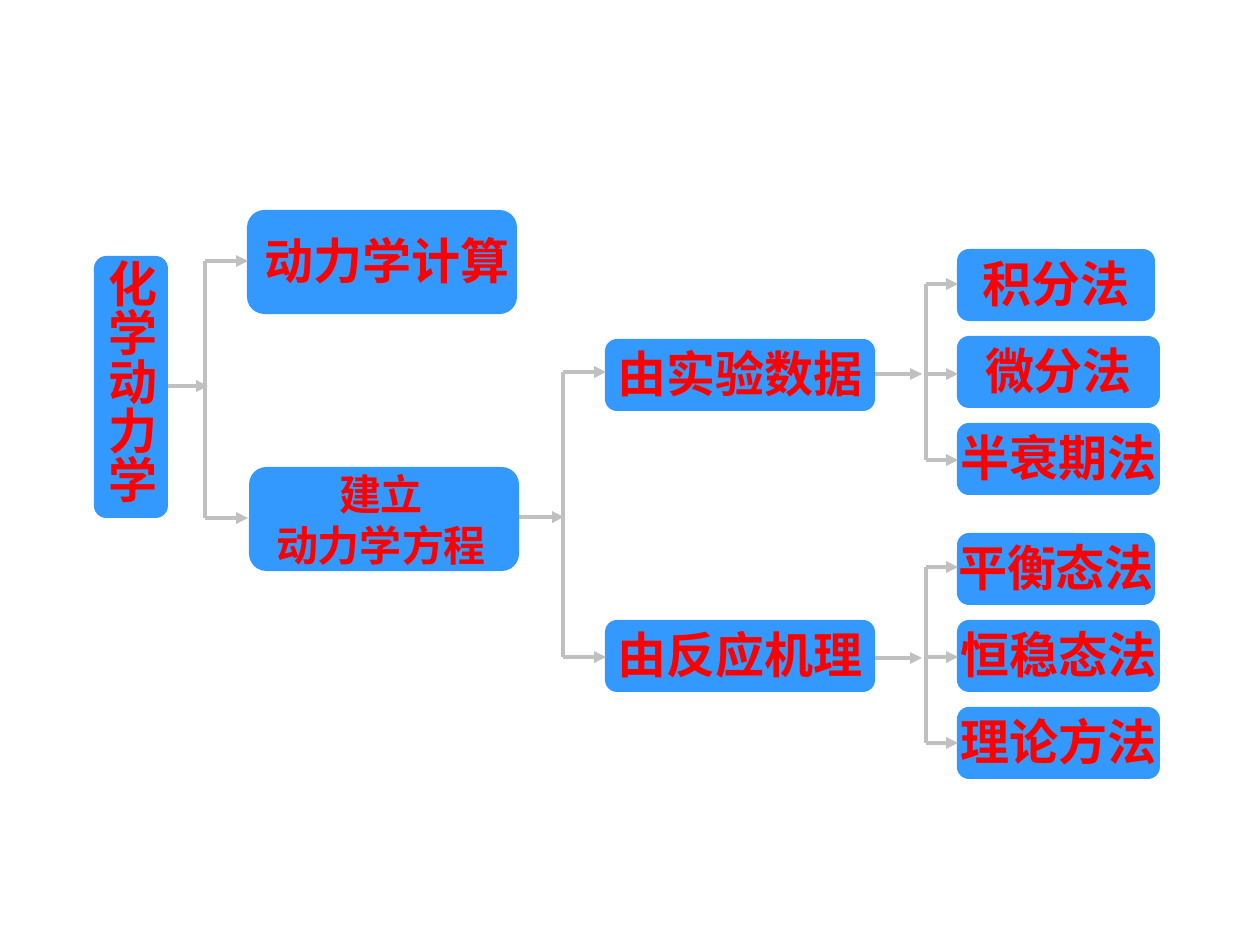
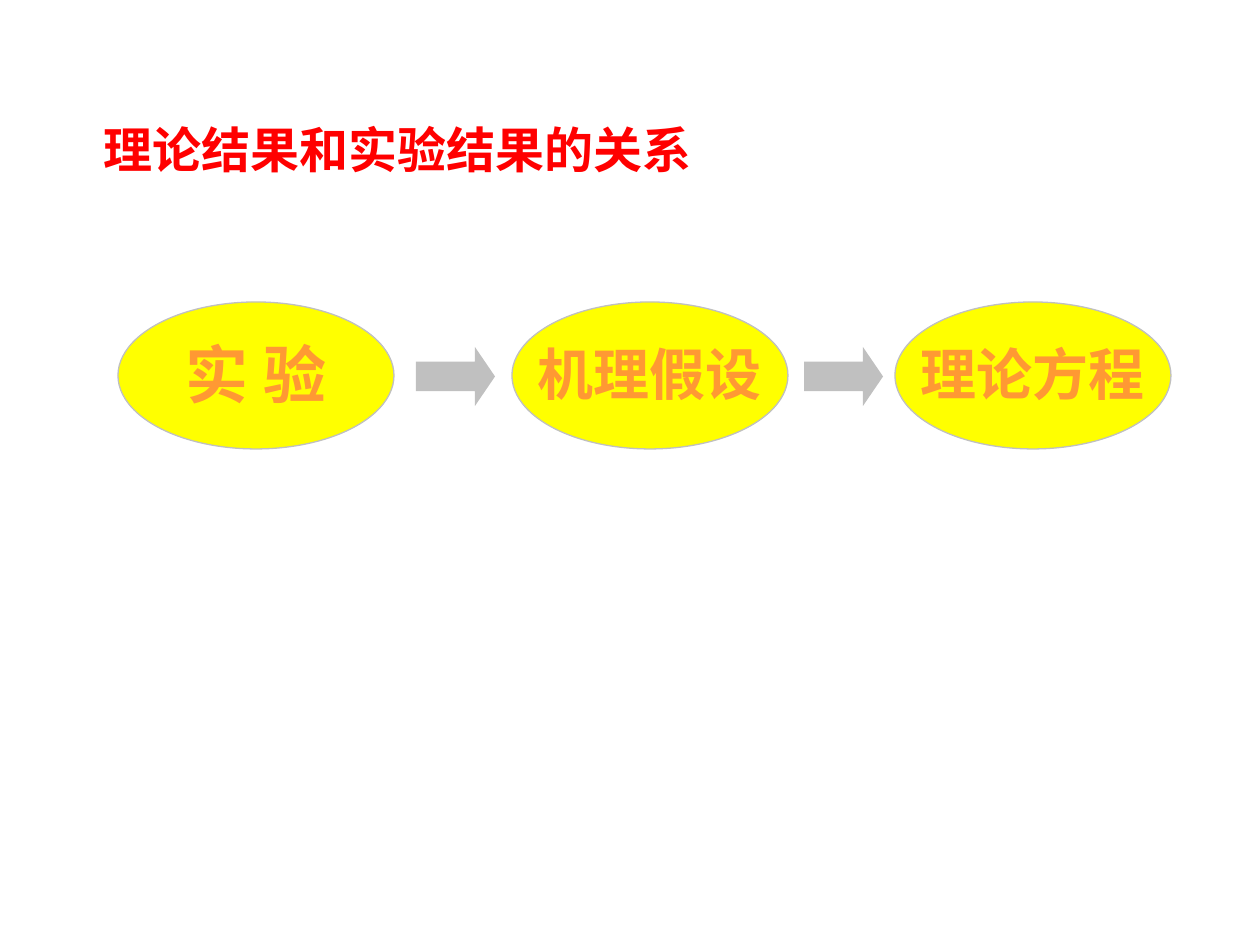
from pptx import Presentation
from pptx.dml.color import RGBColor
from pptx.enum.shapes import MSO_CONNECTOR, MSO_SHAPE
from pptx.enum.text import MSO_ANCHOR, PP_ALIGN
from pptx.oxml.ns import qn
from pptx.util import Pt
from lxml.etree import SubElement

PX = 914400 / 126
FONT = "Noto Sans CJK SC"
BLUE, RED, GRAY, YELLOW, ORANGE = "3399FF", "FF0000", "C0C0C0", "FFFF00", "FF9933"


def px(length):
    """Turn pixels into EMU."""
    return round(length * PX)


def color(hex_code):
    """Turn a hex string into a colour."""
    return RGBColor.from_string(hex_code)


def write(shape, text, size=28, ink=RED, font=FONT, align=PP_ALIGN.CENTER,
          margins=(0, 0, 0, 4), wrap=False, leading=None, vertical=False):
    """Fill a shape with bold text, one paragraph a line."""
    frame = shape.text_frame
    frame.word_wrap = wrap
    frame.vertical_anchor = MSO_ANCHOR.MIDDLE
    (frame.margin_left, frame.margin_top,
     frame.margin_right, frame.margin_bottom) = map(px, margins)
    if vertical:
        frame._txBody.bodyPr.set("vert", "eaVert")
    frame.text = text
    for paragraph in frame.paragraphs:
        paragraph.alignment = align
        if leading:
            paragraph.line_spacing = Pt(leading)
        for run in paragraph.runs:
            run.font.size = Pt(size)
            run.font.bold = True
            run.font.name = font
            run.font.color.rgb = color(ink)
            SubElement(run.font._element, qn("a:ea"), typeface=FONT)


def add_filled(slide, preset, left, top, width, height, fill, outline=None):
    """Add a flat preset shape."""
    shape = slide.shapes.add_shape(preset, *map(px, (left, top, width, height)))
    shape.shadow.inherit = False
    shape.fill.solid()
    shape.fill.fore_color.rgb = color(fill)
    if outline:
        shape.line.color.rgb = color(outline)
        shape.line.width = Pt(0.75)
    else:
        shape.line.fill.background()
    return shape


def add_topic(slide, text, left, top, width, height, **style):
    """Add a rounded blue box with its label."""
    topic = add_filled(slide, MSO_SHAPE.ROUNDED_RECTANGLE, left, top, width, height, BLUE)
    write(topic, text, **style)


def add_line(slide, x1, y1, x2, y2, arrow=True):
    """Add a gray line, with an arrowhead at its end if wanted."""
    line = slide.shapes.add_connector(MSO_CONNECTOR.STRAIGHT, *map(px, (x1, y1, x2, y2)))
    line.line.color.rgb = color(GRAY)
    line.line.width = Pt(2.25)
    if arrow:
        SubElement(line.line._get_or_add_ln(), qn("a:tailEnd"), type="triangle")
    SubElement(line._element.spPr, qn("a:effectLst"))


def add_fork(slide, start, stem_end, stem_y, trunk, branch_ys, tip):
    """Add a stem, a vertical trunk and an arrow for each branch."""
    add_line(slide, start, stem_y, stem_end, stem_y)
    add_line(slide, trunk, branch_ys[0], trunk, branch_ys[-1], arrow=False)
    for y in branch_ys:
        add_line(slide, trunk, y, tip, y)


def add_methods(slide, top, names):
    """Stack the boxes of one group of methods."""
    for row, name in enumerate(names):
        add_topic(slide, name, 957, top + 87 * row, 203 if row else 198, 72)


def build_kinetics_tree(slide):
    """Draw the tree of topics in chemical kinetics."""
    add_topic(slide, "化学动力学", 94, 256, 74, 262, font="Times New Roman",
              margins=(0, 0, 0, 0), vertical=True)
    add_topic(slide, "动力学计算", 247, 210, 270, 104, margins=(10, 0, 0, 4))
    add_topic(slide, "建立\n动力学方程", 249, 467, 270, 104, size=24, leading=29,
              margins=(0, 0, 6, 0))
    add_topic(slide, "由实验数据", 605, 339, 270, 72)
    add_topic(slide, "由反应机理", 605, 620, 270, 72)
    add_methods(slide, 249, ("积分法", "微分法", "半衰期法"))
    add_methods(slide, 533, ("平衡态法", "恒稳态法", "理论方法"))
    add_fork(slide, 168, 208, 386, 205, (261, 518), 248)
    add_fork(slide, 519, 564, 517, 563, (372, 657), 606)
    add_fork(slide, 875, 922, 374, 926, (284, 374, 460), 958)
    add_fork(slide, 875, 922, 658, 926, (567, 657, 743), 958)


def build_relation(slide):
    """Draw the steps from experiment to theoretical equation."""
    title = slide.shapes.add_textbox(*map(px, (92, 113, 842, 72)))
    write(title, "理论结果和实验结果的关系", align=PP_ALIGN.JUSTIFY,
          margins=(12, 6, 12, 6), wrap=True)
    for left, step, size in ((118, "实 验", 36), (512, "机理假设", 32), (895, "理论方程", 32)):
        ellipse = add_filled(slide, MSO_SHAPE.OVAL, left, 302, 276, 147, YELLOW, GRAY)
        write(ellipse, step, size=size, ink=ORANGE)
    for left in (416, 804):
        arrow = add_filled(slide, MSO_SHAPE.RIGHT_ARROW, left, 347, 79, 59, GRAY)
        arrow.adjustments[1] = 0.34


def main():
    """Build and save the two slides."""
    deck = Presentation()
    deck.slide_width, deck.slide_height = px(1260), px(945)
    for build in (build_kinetics_tree, build_relation):
        build(deck.slides.add_slide(deck.slide_layouts[6]))
    deck.save("out.pptx")


if __name__ == "__main__":
    main()
